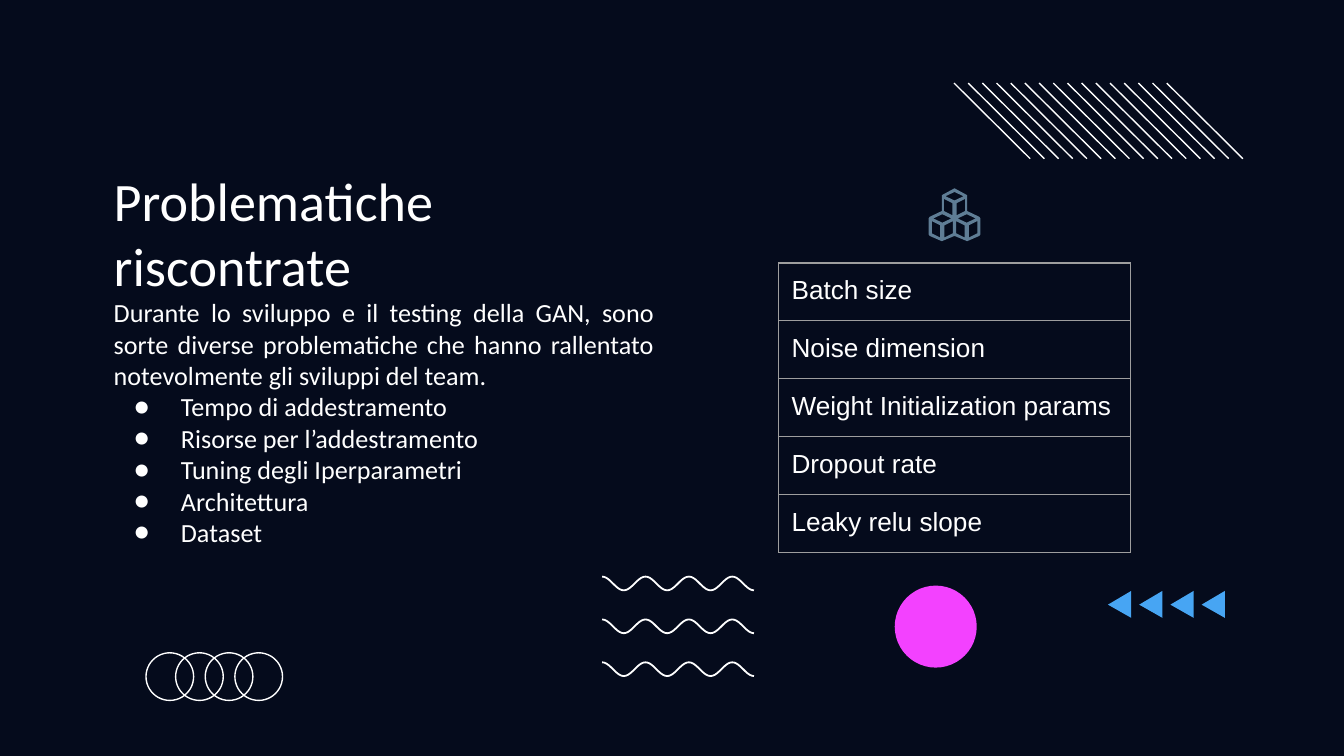
from math import cos, pi
from lxml import etree
from pptx import Presentation
from pptx import util as u
from pptx.dml.color import RGBColor
from pptx.enum import shapes, text
from pptx.oxml import ns

Cm = u.Cm
NAVY = RGBColor(0x05, 0x0B, 0x1C)
WHITE = RGBColor(0xFF, 0xFF, 0xFF)
BLUE = RGBColor(0x47, 0xA5, 0xF3)
PINK = RGBColor(0xF3, 0x41, 0xFF)
SLATE = RGBColor(0x5F, 0x7D, 0x95)
GREY = RGBColor(0x9E, 0x9E, 0x9E)


def write(tf, words, size=14, font="Calibri", color=WHITE, align=None, bullet=None, first=True):
    p = tf.paragraphs[0] if first else tf.add_paragraph()
    p.alignment = align
    if bullet:
        pPr = p._p.get_or_add_pPr()
        pPr.set("marL", str(Cm(1.27)))
        pPr.set("indent", str(Cm(-0.89)))
        clr = etree.SubElement(pPr, ns.qn("a:buClr"))
        etree.SubElement(clr, ns.qn("a:srgbClr")).set("val", str(color))
        etree.SubElement(pPr, ns.qn("a:buFont")).set("typeface", font)
        etree.SubElement(pPr, ns.qn("a:buChar")).set("char", bullet)
    r = p.add_run()
    r.text = words
    r.font.size = u.Pt(size)
    r.font.name = font
    r.font.color.rgb = color


def outline(contours, close=True, fill=None, line=None, width=0.75):
    fb = None
    for pts in contours:
        pts = [(Cm(x), Cm(y)) for x, y in pts]
        if fb is None:
            fb = s.shapes.build_freeform(*pts[0])
        else:
            fb.move_to(*pts[0])
        fb.add_line_segments(pts[1:], close=close)
    sp = fb.convert_to_shape()
    sp.shadow.inherit = False
    if fill is None:
        sp.fill.background()
    else:
        sp.fill.solid()
        sp.fill.fore_color.rgb = fill
    if line is None:
        sp.line.fill.background()
    else:
        sp.line.color.rgb = line
        sp.line.width = u.Pt(width)


prs = Presentation()
prs.slide_width, prs.slide_height = Cm(25.4), Cm(14.29)
s = prs.slides.add_slide(prs.slide_layouts[6])
s.background.fill.solid()
s.background.fill.fore_color.rgb = NAVY

for row in range(3):
    mid = 11.03 + 0.81 * row
    wave = [(11.38 + 2.87 * i / 70, mid - 0.13 * cos(7 * pi * i / 70)) for i in range(71)]
    outline([wave], close=False, line=WHITE, width=0.95)

for i in range(4):
    x = 20.94 + 0.59 * i
    outline([[(x + 0.44, 11.17), (x, 11.43), (x + 0.44, 11.68)]], fill=BLUE)

for i in range(16):
    x = 18.03 + 4.02 * i / 15
    ln = s.shapes.add_connector(shapes.MSO_CONNECTOR.STRAIGHT, Cm(x), Cm(1.57), Cm(x + 1.44), Cm(3))
    ln.line.color.rgb = WHITE
    ln.line.width = u.Pt(0.75)
    etree.SubElement(ln._element.spPr, ns.qn("a:effectLst"))

discs = [(16.91, 11.07, 1.55, PINK)] + [(2.76 + 0.56 * i, 12.34, 0.9, None) for i in range(4)]
for x, y, d, fill in discs:
    sp = s.shapes.add_shape(shapes.MSO_SHAPE.OVAL, Cm(x), Cm(y), Cm(d), Cm(d))
    sp.shadow.inherit = False
    if fill:
        sp.fill.solid()
        sp.fill.fore_color.rgb = fill
        sp.line.fill.background()
    else:
        sp.fill.background()
        sp.line.color.rgb = WHITE
        sp.line.width = u.Pt(0.75)

frames = []
for x, y, w, h, top in [(1.9, 3.17, 8.81, 2.2, 0), (1.9, 5.36, 10.72, 4.68, 0.25)]:
    tf = s.shapes.add_textbox(Cm(x), Cm(y), Cm(w), Cm(h)).text_frame
    tf.word_wrap = True
    tf.vertical_anchor = text.MSO_ANCHOR.TOP
    tf.margin_left = tf.margin_right = tf.margin_bottom = Cm(0.25)
    tf.margin_top = Cm(top)
    frames.append(tf)
title, body = frames
write(title, "Problematiche riscontrate", size=29)
write(body, "Durante lo sviluppo e il testing della GAN, sono sorte diverse problematiche "
      "che hanno rallentato notevolmente gli sviluppi del team.", align=text.PP_ALIGN.JUSTIFY)
for item in ["Tempo di addestramento", "Risorse per l’addestramento",
             "Tuning degli Iperparametri", "Architettura", "Dataset"]:
    write(body, item, align=text.PP_ALIGN.JUSTIFY, bullet="●", first=False)

params = ["Batch size", "Noise dimension", "Weight Initialization params",
          "Dropout rate", "Leaky relu slope"]
tbl = s.shapes.add_table(len(params), 1, Cm(14.71), Cm(4.97), Cm(6.65), Cm(5.4)).table
tbl.first_row = tbl.horz_banding = False
for i, name in enumerate(params):
    tbl.rows[i].height = Cm(1.08)
    cell = tbl.cell(i, 0)
    cell.margin_left = cell.margin_right = cell.margin_top = cell.margin_bottom = Cm(0.25)
    write(cell.text_frame, name, font="Arial")
    tcPr = cell._tc.get_or_add_tcPr()
    for side in "LRTB":
        ln = etree.SubElement(tcPr, ns.qn("a:ln" + side), w=str(u.Pt(0.75)))
        fill = etree.SubElement(ln, ns.qn("a:solidFill"))
        etree.SubElement(fill, ns.qn("a:srgbClr")).set("val", str(GREY))
    cell.fill.background()

half = [(0, -0.15), (0.24, -0.02), (0.24, 0.28), (0.47, 0.39), (0.49, 0.42),
        (0.49, 0.72), (0.47, 0.75), (0.24, 0.85), (0, 0.75)]
cx, cy = 18.04, 3.71
contours = [[(cx + x, cy + y) for x, y in half + [(-x, y) for x, y in half[-2:0:-1]]]]
lid = [(0, -0.08), (-0.17, 0), (0, 0.08), (0.17, 0)]
side = [(0.04, 0.13), (0.04, 0.36), (0.2, 0.28), (0.2, 0.05)]
mirrored = [(-x, y) for x, y in reversed(side)]
for dx, dy in [(0, 0), (-0.23, 0.42), (0.23, 0.42)]:
    for face in (lid, side, mirrored):
        contours.append([(cx + dx + x, cy + dy + y) for x, y in face])
outline(contours, fill=SLATE)

prs.save("out.pptx")
